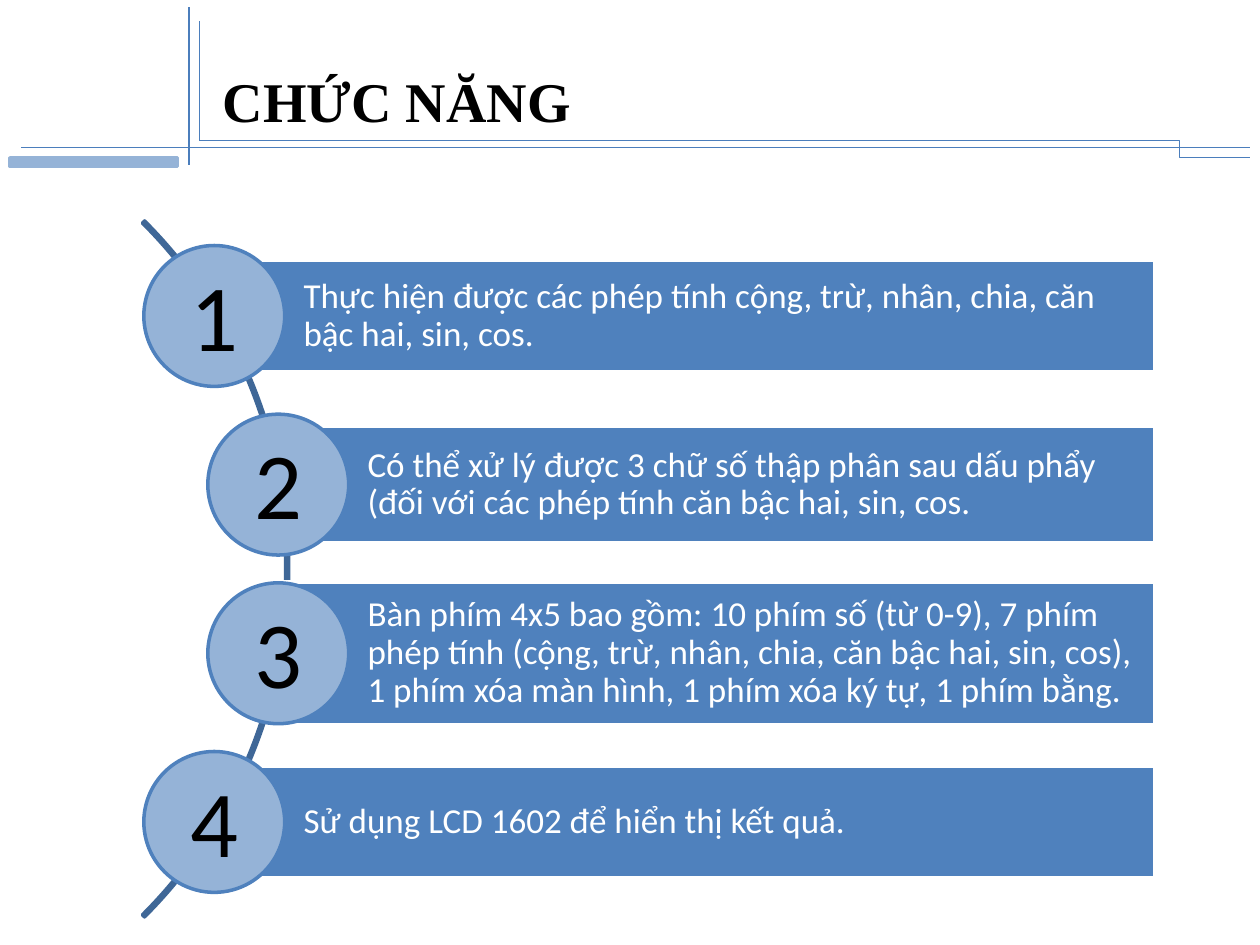
import pptx
import pptx.dml.color
import pptx.enum.shapes
import pptx.enum.text
import pptx.oxml
import pptx.oxml.ns
import pptx.util
from lxml import etree

Cm, Pt = pptx.util.Cm, pptx.util.Pt
SHAPE = pptx.enum.shapes.MSO_SHAPE
LINK = pptx.enum.shapes.MSO_CONNECTOR
ALIGN = pptx.enum.text.PP_ALIGN
MIDDLE = pptx.enum.text.MSO_ANCHOR.MIDDLE
qn = pptx.oxml.ns.qn
rgb = pptx.dml.color.RGBColor.from_string

COLORS = {"bar": "4F81BD", "light": "95B3D7", "arc": "3F6797",
          "rule": "4B7EBC", "white": "FFFFFF", "black": "000000"}

prs = pptx.Presentation()
prs.slide_width, prs.slide_height = Cm(25.4), Cm(19.05)
s = prs.slides.add_slide(prs.slide_layouts[6])


def add_shape(kind, x, y, w, h, fill, line):
    sp = s.shapes.add_shape(kind, Cm(x), Cm(y), Cm(w), Cm(h))
    sp.shadow.inherit = False
    sp.fill.solid()
    sp.fill.fore_color.rgb = rgb(COLORS[fill])
    sp.line.color.rgb = rgb(COLORS[line])
    sp.line.width = Pt(2)
    return sp


def write(sp, text, font, size, color, align=ALIGN.LEFT):
    """Put one run into the shape and return its paragraph."""
    tf = sp.text_frame
    tf.word_wrap = True
    p = tf.paragraphs[0]
    p.alignment = align
    r = p.add_run()
    r.text = text
    r.font.name, r.font.size = font, Pt(size)
    r.font.color.rgb = rgb(COLORS[color])
    return p


# Numbered list along an arc: circle centre x, bar height, text
functions = [
    (4.32, 2.26, "Thực hiện được các phép tính cộng, trừ, nhân, chia, căn bậc hai, sin, cos."),
    (5.61, 2.36, "Có thể xử lý được 3 chữ số thập phân sau dấu phẩy "
                 "(đối với các phép tính căn bậc hai, sin, cos."),
    (5.61, 2.87, "Bàn phím 4x5 bao gồm: 10 phím số (từ 0-9), 7 phím phép tính "
                 "(cộng, trừ, nhân, chia, căn bậc hai, sin, cos), "
                 "1 phím xóa màn hình, 1 phím xóa ký tự, 1 phím bằng."),
    (4.32, 2.26, "Sử dụng LCD 1602 để hiển thị kết quả."),
]
first_y, pitch, circle, bar_right = 6.37, 3.4, 2.84, 23.29
number_w, number_h = 1.7, 1.9

arc = add_shape(SHAPE.BLOCK_ARC, -14.02, 1.55, 19.84, 19.84, "arc", "arc")
arc.fill.background()
for i, value in enumerate((189, 27, 0.003)):
    arc.adjustments[i] = value

for i, (x, bar_h, text) in enumerate(functions):
    y = first_y + i * pitch
    bar = add_shape(SHAPE.RECTANGLE, x, y - bar_h / 2, bar_right - x, bar_h, "bar", "white")
    tf = bar.text_frame
    tf.vertical_anchor = MIDDLE
    tf.margin_left = Cm(1.8)
    tf.margin_top = tf.margin_right = tf.margin_bottom = Cm(0.15)
    write(bar, text, "Calibri", 20, "white").line_spacing = 0.9
    add_shape(SHAPE.OVAL, x - circle / 2, y - circle / 2, circle, circle, "light", "bar")

for i, (x, _, _) in enumerate(functions):
    y = first_y + i * pitch
    number = s.shapes.add_textbox(Cm(x - number_w / 2), Cm(y - number_h / 2 - 0.05),
                                  Cm(number_w), Cm(number_h))
    number.text_frame.vertical_anchor = MIDDLE
    write(number, str(i + 1), "Calibri", 54, "black", ALIGN.CENTER)

# Title frame
rules = [
    (LINK.STRAIGHT, 4.02, 0.43, 4.02, 2.84),
    (LINK.STRAIGHT, 3.81, 0.15, 3.81, 3.33),
    (LINK.STRAIGHT, 0.43, 2.97, 25.2, 2.97),
    (LINK.ELBOW, 4.02, 2.84, 25.2, 3.18),
]
for kind, x1, y1, x2, y2 in rules:
    rule = s.shapes.add_connector(kind, Cm(x1), Cm(y1), Cm(x2), Cm(y2))
    rule.line.color.rgb = rgb(COLORS["rule"])
    rule.line.width = Pt(0.75)
    sp_pr = rule._element.spPr
    etree.SubElement(sp_pr, qn("a:effectLst"))
    if kind == LINK.ELBOW:
        guides = sp_pr.find(qn("a:prstGeom")).get_or_add_avLst()
        etree.SubElement(guides, qn("a:gd"), name="adj1", fmla="val 93300")
add_shape(SHAPE.RECTANGLE, 0.2, 3.18, 3.38, 0.18, "light", "light")

title = s.shapes.add_textbox(Cm(4.24), Cm(1.22), Cm(20.32), Cm(1.63))
write(title, "CHỨC NĂNG", "Times New Roman", 32, "black").runs[0].font.bold = True

prs.save("out.pptx")
